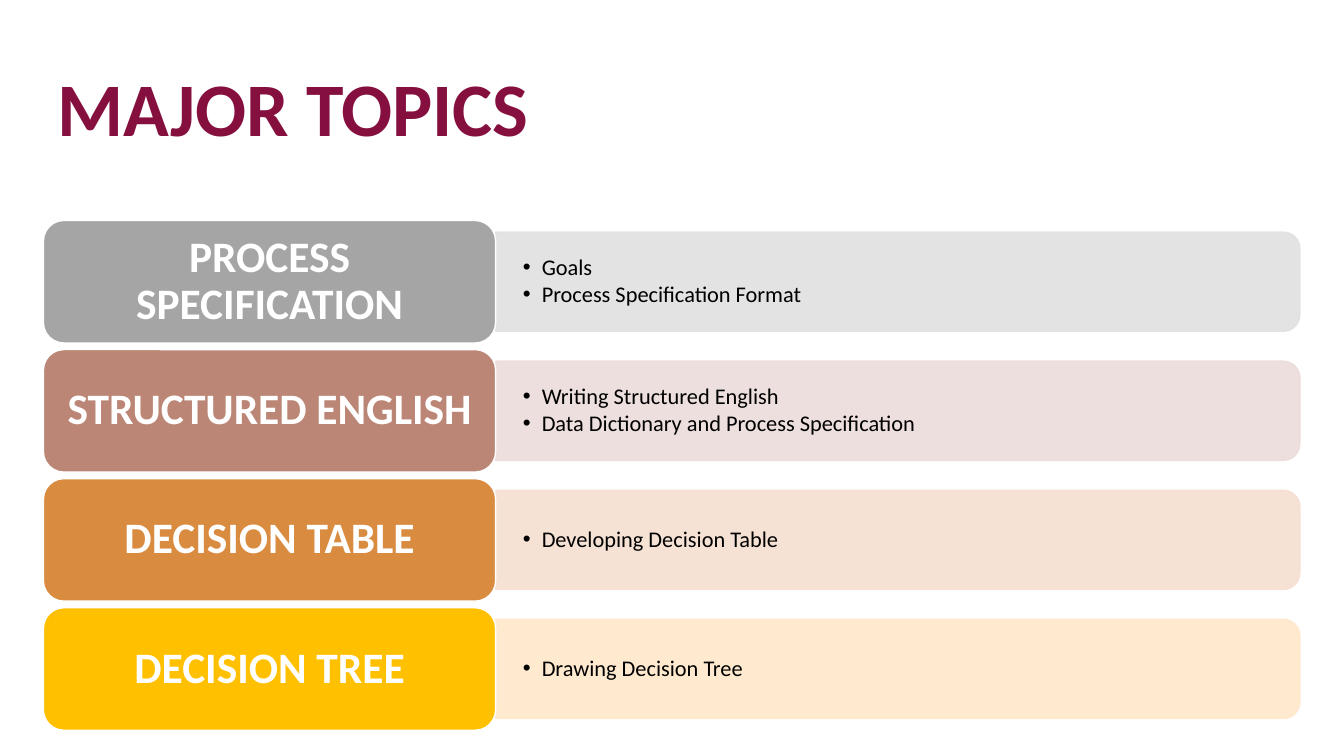
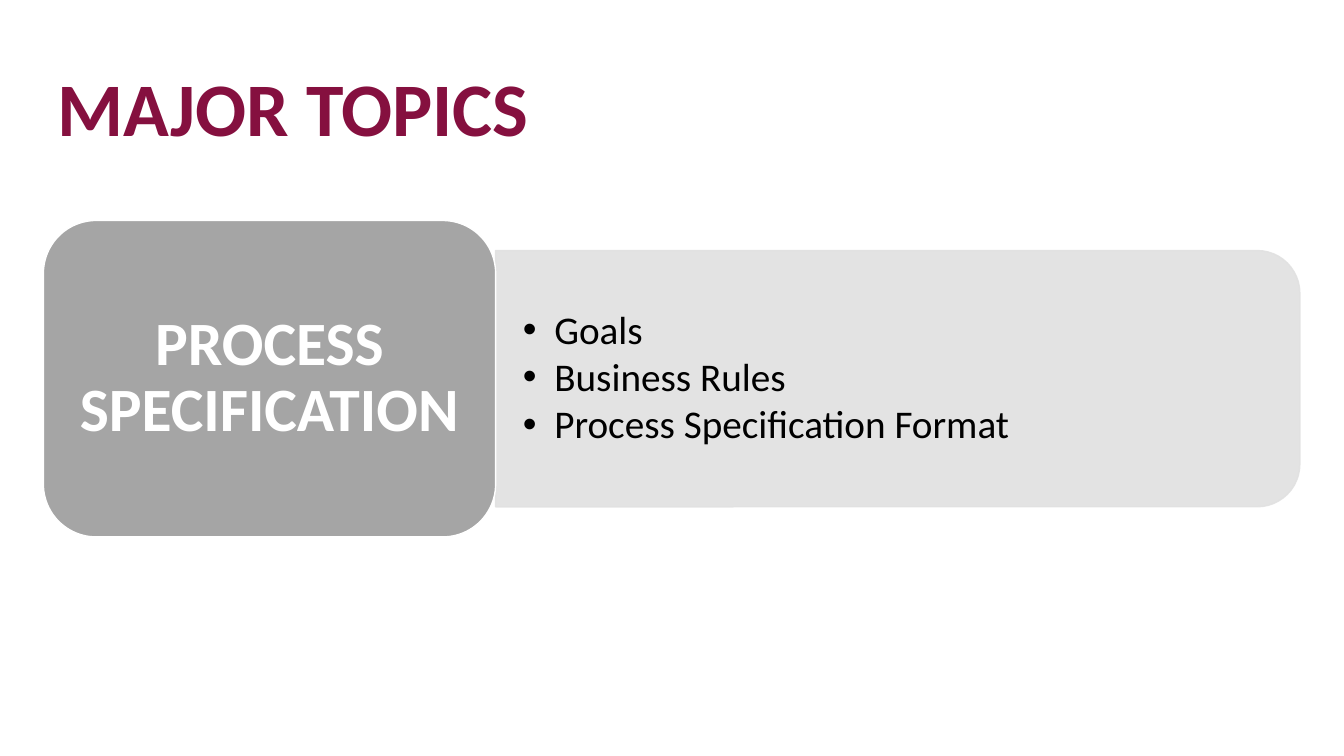
from lxml.etree import SubElement
from pptx import Presentation
from pptx.dml.color import RGBColor as Rgb
from pptx.enum.shapes import MSO_SHAPE as Kind
from pptx.enum.text import MSO_ANCHOR as Anchor, MSO_AUTO_SIZE as Fit, PP_ALIGN as Align
from pptx.oxml.ns import qn
from pptx.util import Pt

HUES = {
    "title": "85103F", "text": "000000", "white": "FFFFFF",
    "gray": "A5A5A5", "rose": "BB8676", "orange": "D98B3F", "gold": "FFC000",
    "gray tint": "E1E1E1", "rose tint": "EBDCDA",
    "orange tint": "F6DFD1", "gold tint": "FFE8CB",
}
FONT = "Calibri"
LEFT, SPLIT, RIGHT, TOP = 31, 354, 928.5, 157.5
RATIO = 0.81


def apply(item, **vals):
    for key, val in vals.items():
        setattr(item, key, val)


class Deck:
    def __init__(self):
        self.prs = Presentation()
        apply(self.prs, slide_width=Pt(960), slide_height=Pt(540))
        self.slide = None
        self.body = None

    def page(self, title):
        self.slide = self.prs.slides.add_slide(self.prs.slide_layouts[1])
        self.body = self.slide.placeholders[1]
        box = self.slide.shapes.title
        self.place(box, 34, 47, 828, 76)
        self.frame(box, 7.2, 3.6, Anchor.TOP)
        self.label(box, [title], 54, "title", bold=True, align=Align.LEFT)

    def place(self, box, x, y, w, h):
        apply(box, left=Pt(x), top=Pt(y), width=Pt(w), height=Pt(h))

    def frame(self, box, side, edge, anchor=Anchor.MIDDLE):
        apply(box.text_frame, auto_size=Fit.NONE, word_wrap=True,
              vertical_anchor=anchor, margin_left=Pt(side), margin_right=Pt(side),
              margin_top=Pt(edge), margin_bottom=Pt(edge))

    def label(self, box, lines, size, hue, bold=False, align=Align.CENTER,
              after=0, indent=0):
        frame = box.text_frame
        for pos, line in enumerate(lines):
            para = frame.add_paragraph() if pos else frame.paragraphs[0]
            para.text = line
            if indent:
                self.bullet(para, indent)
            apply(para, alignment=align, line_spacing=0.9,
                  space_before=Pt(0), space_after=Pt(after))
            apply(para.font, name=FONT, size=Pt(size), bold=bold)
            para.font.color.rgb = Rgb.from_string(HUES[hue])

    def bullet(self, para, indent):
        props = para._p.get_or_add_pPr()
        props.set("marL", str(Pt(indent)))
        props.set("indent", str(-Pt(indent)))
        SubElement(props, qn("a:buFont")).set("typeface", "Arial")
        SubElement(props, qn("a:buChar")).set("char", "•")

    def shape(self, kind, x, y, w, h, fill, line):
        box = self.slide.shapes.add_shape(kind, Pt(x), Pt(y), Pt(w), Pt(h))
        box.shadow.inherit = False
        box.fill.solid()
        box.fill.fore_color.rgb = Rgb.from_string(HUES[fill])
        box.line.color.rgb = Rgb.from_string(HUES[line])
        box.line.width = Pt(1)
        return box

    def bar(self, mid, high, hue):
        wide = RIGHT - SPLIT
        box = self.shape(Kind.ROUND_2_SAME_RECTANGLE, (SPLIT + RIGHT - high) / 2,
                         mid - wide / 2, high, wide, hue, hue)
        box.rotation = 90
        for color in box.element.spPr.iter(qn("a:srgbClr")):
            SubElement(color, qn("a:alpha")).set("val", "90000")

    def items(self, mid, high, lines, size, indent):
        if self.body is not None:
            box, self.body = self.body, None
            self.slide.shapes.element.append(box.element)
        else:
            box = self.slide.shapes.add_textbox(0, 0, 0, 0)
        self.place(box, SPLIT, mid - high / 2, RIGHT - SPLIT, high)
        self.frame(box, 19.5, 0)
        self.label(box, lines, size, "text", align=Align.LEFT,
                   after=round(size * 0.13, 1), indent=indent)

    def head(self, top, high, text, size, hue):
        box = self.shape(Kind.ROUNDED_RECTANGLE, LEFT, top, SPLIT - LEFT, high,
                         hue, "white")
        self.frame(box, size * 0.3, 0)
        self.label(box, [text], size, "white", bold=True)

    def rows(self, topics, high, pitch, large, small, indent):
        for pos, (text, hue, lines) in enumerate(topics):
            top = TOP + pos * pitch
            mid = top + high / 2
            self.bar(mid, high * RATIO, f"{hue} tint")
            self.items(mid, high * RATIO, lines, small, indent)
            self.head(top, high, text, large, hue)


def main():
    deck = Deck()
    deck.page("MAJOR TOPICS")
    deck.rows([
        ("PROCESS SPECIFICATION", "gray", ["Goals", "Process Specification Format"]),
        ("STRUCTURED ENGLISH", "rose",
         ["Writing Structured English", "Data Dictionary and Process Specification"]),
        ("DECISION TABLE", "orange", ["Developing Decision Table"]),
        ("DECISION TREE", "gold", ["Drawing Decision Tree"]),
    ], high=87.5, pitch=92.2, large=31, small=16, indent=13.5)

    deck.page("MAJOR TOPICS")
    deck.rows([
        ("PROCESS SPECIFICATION", "gray",
         ["Goals", "Business Rules", "Process Specification Format"]),
    ], high=226, pitch=0, large=44, small=28, indent=22.5)
    deck.prs.save("out.pptx")


if __name__ == "__main__":
    main()
